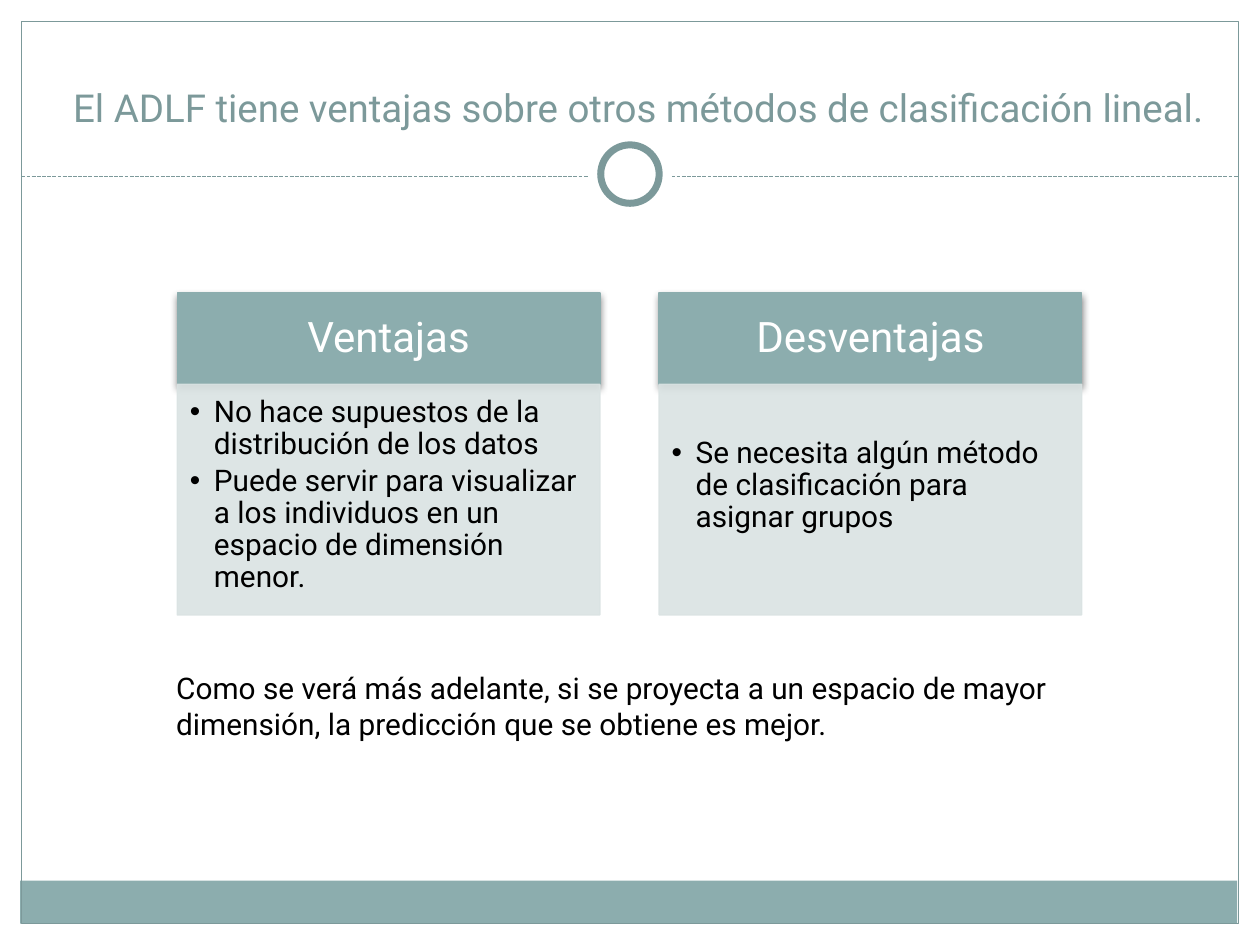
from lxml import etree
from pptx import Presentation
from pptx import util as u
from pptx.dml.color import RGBColor
from pptx.enum import dml, shapes, text
from pptx.oxml.ns import qn

Pt = u.Pt
TEAL, DARK, PALE, WHITE, BLACK = "8CADAE", "7C999A", "DAE3E3", "FFFFFF", "000000"


def paint(sp, fill=None, line=None, weight=0.75):
    for part, color in ((sp.fill, fill), (sp.line.fill, line)):
        if color:
            part.solid()
            part.fore_color.rgb = RGBColor.from_string(color)
        else:
            part.background()
    if line:
        sp.line.width = Pt(weight)


def write(sp, box, lines, size, color, frame, para):
    for name, value in zip(("left", "top", "width", "height"), box):
        setattr(sp, name, Pt(value))
    tf = sp.text_frame
    for name, value in {"word_wrap": True, "auto_size": text.MSO_AUTO_SIZE.NONE, **frame}.items():
        setattr(tf, name, value)
    for i, line in enumerate(lines):
        p = tf.paragraphs[0] if i == 0 else tf.add_paragraph()
        for name, value in {"space_before": Pt(0), **para}.items():
            setattr(p, name, value)
        r = p.add_run()
        r.text = line
        for name, value in {"name": "Roboto", "size": Pt(size), "bold": False}.items():
            setattr(r.font, name, value)
        r.font.color.rgb = RGBColor.from_string(color)


prs = Presentation()
prs.slide_width, prs.slide_height = Pt(720), Pt(540)
s = prs.slides.add_slide(prs.slide_layouts[4])  # Comparison
holders = {ph.placeholder_format.idx: ph for ph in s.placeholders}

# Bottom band and frame
RECT, OVAL = shapes.MSO_SHAPE.RECTANGLE, shapes.MSO_SHAPE.OVAL
band = s.shapes.add_shape(RECT, Pt(11.5), Pt(503.3), Pt(695.5), Pt(24.5))
paint(band, TEAL)
frame = s.shapes.add_shape(RECT, Pt(12.25), Pt(12.25), Pt(695.5), Pt(515.5))
paint(frame, line=DARK)

# Dashed divider
divider = s.shapes.add_connector(shapes.MSO_CONNECTOR.STRAIGHT, Pt(12.25), Pt(100.8), Pt(707.75), Pt(100.8))
divider.line.color.rgb = RGBColor.from_string(DARK)
divider.line.width = Pt(0.75)
divider.line.dash_style = dml.MSO_LINE.SQUARE_DOT
etree.SubElement(divider._element.spPr, qn("a:effectLst"))

# Ring: white gap, then outlined circle
gap = s.shapes.add_shape(OVAL, Pt(336), Pt(75.5), Pt(48), Pt(48))
paint(gap, WHITE)
ring = s.shapes.add_shape(OVAL, Pt(343.3), Pt(82.8), Pt(33.4), Pt(33.4))
paint(ring, WHITE, DARK, 4)
for sp in (band, frame, gap, ring):
    sp.shadow.inherit = False

# Title
write(s.shapes.title, (34.6, 18, 671.8, 59.8),
      ["El ADLF tiene ventajas sobre otros métodos de clasificación lineal."], 22, DARK,
      {"vertical_anchor": text.MSO_ANCHOR.BOTTOM}, {"alignment": text.PP_ALIGN.LEFT})

# Two columns: heading over list (last value is the list's top inset)
columns = [
    ("Ventajas", ["No hace supuestos de la distribución de los datos",
                  "Puede servir para visualizar a los individuos en un espacio de dimensión menor."], 7.2),
    ("Desventajas", ["Se necesita algún método de clasificación para asignar grupos"], 30.6),
]
for i, (heading, items, inset) in enumerate(columns):
    left = 101.3 + 275.3 * i
    head, body = holders[1 + 2 * i], holders[2 + 2 * i]

    write(head, (left, 167.4, 241.5, 52.2), [heading], 24, WHITE,
          {"vertical_anchor": text.MSO_ANCHOR.MIDDLE, "margin_left": Pt(13.7), "margin_right": Pt(13.7),
           "margin_top": Pt(7.8), "margin_bottom": Pt(7.8)},
          {"alignment": text.PP_ALIGN.CENTER, "line_spacing": 0.9})
    paint(head, TEAL, TEAL)
    effects = etree.SubElement(head._element.spPr, qn("a:effectLst"))
    shadow = etree.SubElement(effects, qn("a:outerShdw"), blurRad=str(Pt(4)), dist=str(Pt(2)),
                              dir="5400000", rotWithShape="0")
    tint = etree.SubElement(shadow, qn("a:srgbClr"), val=BLACK)
    etree.SubElement(tint, qn("a:alpha"), val="45000")

    write(body, (left, 219.6, 241.5, 131.8), items, 17, BLACK,
          {"vertical_anchor": text.MSO_ANCHOR.TOP, "margin_left": Pt(7.2), "margin_right": Pt(9.4),
           "margin_top": Pt(inset), "margin_bottom": Pt(10.8)},
          {"alignment": text.PP_ALIGN.LEFT, "line_spacing": 0.9, "space_after": Pt(2.6)})
    paint(body, PALE, PALE)
    for color in body._element.spPr.iter(qn("a:srgbClr")):
        etree.SubElement(color, qn("a:alpha"), val="90000")
    for p in body.text_frame.paragraphs:
        pPr = p._p.get_or_add_pPr()
        pPr.set("marL", str(Pt(13.7)))
        pPr.set("indent", str(-Pt(13.7)))
        etree.SubElement(pPr, qn("a:buChar"), char="•")

# Closing remark
remark = s.shapes.add_textbox(0, 0, 0, 0)
write(remark, (93.6, 379.4, 529.9, 48.2),
      ["Como se verá más adelante, si se proyecta a un espacio de mayor dimensión, "
       "la predicción que se obtiene es mejor."], 17, BLACK,
      {"auto_size": text.MSO_AUTO_SIZE.SHAPE_TO_FIT_TEXT}, {"alignment": text.PP_ALIGN.LEFT})

prs.save("out.pptx")
